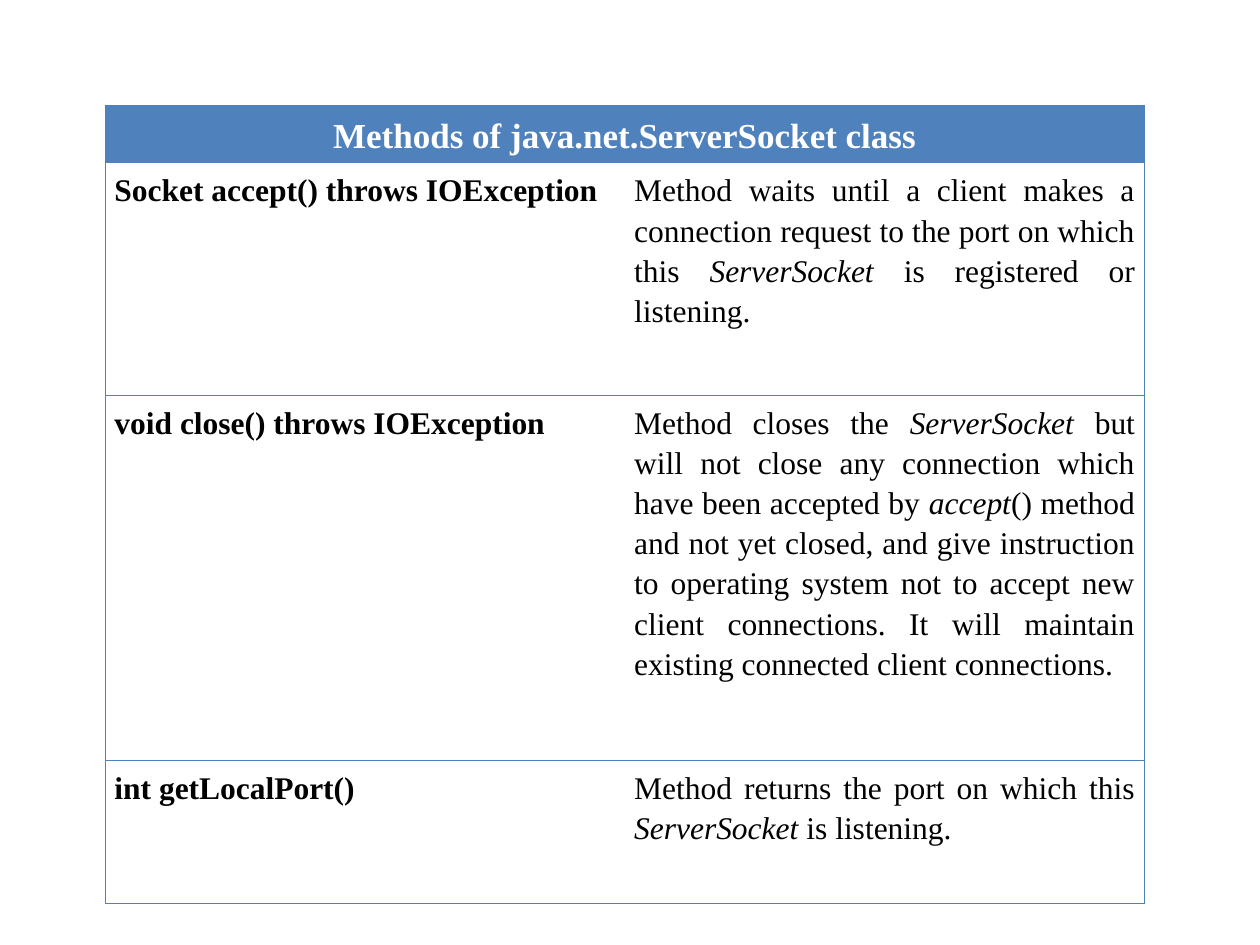
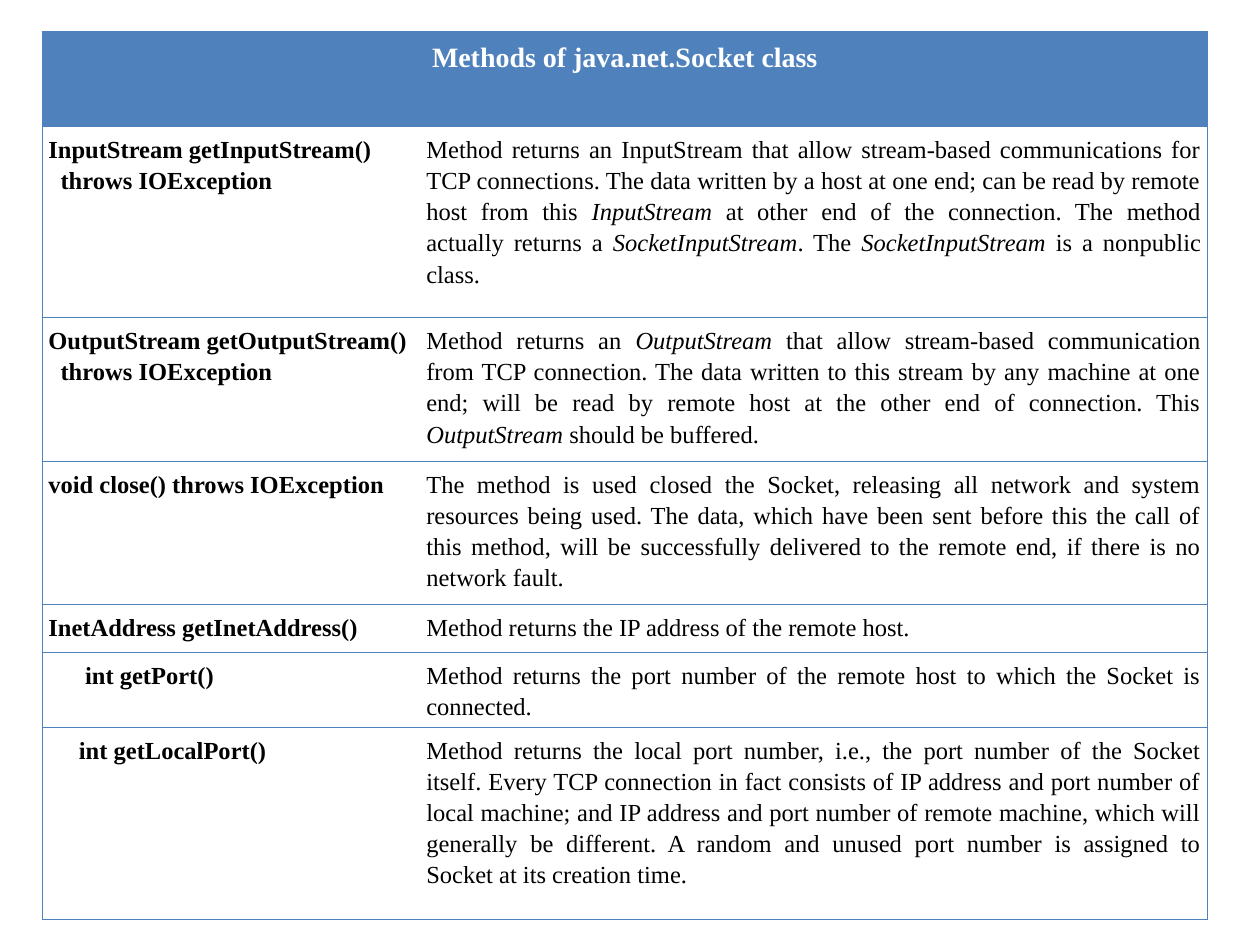
from pptx import Presentation
from pptx.dml.color import RGBColor
from pptx.enum.text import PP_ALIGN as Align
from pptx.oxml import parse_xml
from pptx.oxml.ns import nsdecls
from pptx.util import Pt

BLUE = RGBColor(0x4F, 0x81, 0xBD)
WHITE = RGBColor(0xFF, 0xFF, 0xFF)
BLACK = RGBColor(0, 0, 0)
FONT = "Times New Roman"
BORDER = Pt(0.45)


def set_borders(cell, sides):
    """Draw blue lines on the given sides (of "LRTB") and none on the others."""
    for side in "LRTB":
        line = (f'<a:solidFill><a:srgbClr val="{BLUE}"/></a:solidFill>'
                if side in sides else "<a:noFill/>")
        cell._tc.get_or_add_tcPr().append(parse_xml(
            f'<a:ln{side} {nsdecls("a")} w="{BORDER}">{line}</a:ln{side}>'))


def write_cell(cell, text, size, color, align, bold=False):
    """Fill a cell with one paragraph; *marked* words become italic."""
    p = cell.text_frame.paragraphs[0]
    p.alignment = align
    p.line_spacing = 1.15
    p.space_after = Pt(6)
    for i, part in enumerate(text.split("*")):
        if part:
            r = p.add_run()
            r.text = part
            r.font.name, r.font.size = FONT, Pt(size)
            r.font.bold, r.font.italic = bold, i % 2 == 1
            r.font.color.rgb = color
    return p


# Each method: name, left margin, first-line indent, row height, description
TABLES = [
    dict(
        heading="Methods of java.net.ServerSocket class",
        left=60, top=60, cols=(297, 297), inset=5.4,
        head_height=32.6, head_size=20, size=18,
        methods=[
            ("Socket accept() throws IOException", 0, 0, 133,
             "Method waits until a client makes a connection request to the port on "
             "which this *ServerSocket* is registered or listening."),
            ("void close() throws IOException", 0, 0, 208.6,
             "Method closes the *ServerSocket* but will not close any connection which "
             "have been accepted by *accept*() method and not yet closed, and give "
             "instruction to operating system not to accept new client connections. "
             "It will maintain existing connected client connections."),
            ("int getLocalPort()", 0, 0, 82.2,
             "Method returns the port on which this *ServerSocket* is listening."),
        ]),
    dict(
        heading="Methods of java.net.Socket class",
        left=24, top=18, cols=(216, 450), inset=3.6,
        head_height=54.3, head_size=16, size=14,
        methods=[
            ("InputStream getInputStream() throws IOException", 7, -7, 109.2,
             "Method returns an InputStream that allow stream-based communications for "
             "TCP connections. The data written by a host at one end; can be read by "
             "remote host from this *InputStream* at other end of the connection. The "
             "method actually returns a *SocketInputStream*. The *SocketInputStream* "
             "is a nonpublic class."),
            ("OutputStream getOutputStream() throws IOException", 7, -7, 82,
             "Method returns an *OutputStream* that allow stream-based communication "
             "from TCP connection. The data written to this stream by any machine at "
             "one end; will be read by remote host at the other end of connection. "
             "This *OutputStream* should be buffered."),
            ("void close() throws IOException", 0, 0, 82,
             "The method is used closed the Socket, releasing all network and system "
             "resources being used. The data, which have been sent before this the "
             "call of this method, will be successfully delivered to the remote end, "
             "if there is no network fault."),
            ("InetAddress getInetAddress()", 0, 0, 27.4,
             "Method returns the IP address of the remote host."),
            ("int getPort()", 21, 0, 42.4,
             "Method returns the port number of the remote host to which the Socket "
             "is connected."),
            ("int getLocalPort()", 17.5, 0, 109.6,
             "Method returns the local port number, i.e., the port number of the Socket "
             "itself. Every TCP connection in fact consists of IP address and port "
             "number of local machine; and IP address and port number of remote "
             "machine, which will generally be different. A random and unused port "
             "number is assigned to Socket at its creation time."),
        ]),
]

prs = Presentation()
prs.slide_width, prs.slide_height = Pt(720), Pt(540)

for t in TABLES:
    s = prs.slides.add_slide(prs.slide_layouts[6])
    heights = [t["head_height"]] + [m[3] for m in t["methods"]]
    table = s.shapes.add_table(len(heights), 2, Pt(t["left"]), Pt(t["top"]),
                               Pt(sum(t["cols"])), Pt(sum(heights))).table
    table.horz_banding = table.first_row = False

    # Grid, insets, borders and fills
    for col, width in zip(table.columns, t["cols"]):
        col.width = Pt(width)
    for n, (row, height) in enumerate(zip(table.rows, heights)):
        row.height = Pt(height)
        for cell, sides in zip(row.cells, ("LTB", "RTB")):
            cell.margin_left = cell.margin_right = Pt(t["inset"])
            cell.margin_top = cell.margin_bottom = Pt(3.6)
            set_borders(cell, "LRTB" if n == 0 else sides)
            if n == 0:
                cell.fill.solid()
                cell.fill.fore_color.rgb = BLUE
            else:
                cell.fill.background()

    # Heading row
    head = table.cell(0, 0)
    head.merge(table.cell(0, 1))
    write_cell(head, t["heading"], t["head_size"], WHITE, Align.CENTER, bold=True)

    # Method rows
    for n, (name, margin, indent, _, description) in enumerate(t["methods"], 1):
        p = write_cell(table.cell(n, 0), name, t["size"], BLACK, Align.LEFT, bold=True)
        if margin:
            pPr = p._p.get_or_add_pPr()
            pPr.set("marL", str(Pt(margin)))
            pPr.set("indent", str(Pt(indent)))
        write_cell(table.cell(n, 1), description, t["size"], BLACK, Align.JUSTIFY)

prs.save("out.pptx")
